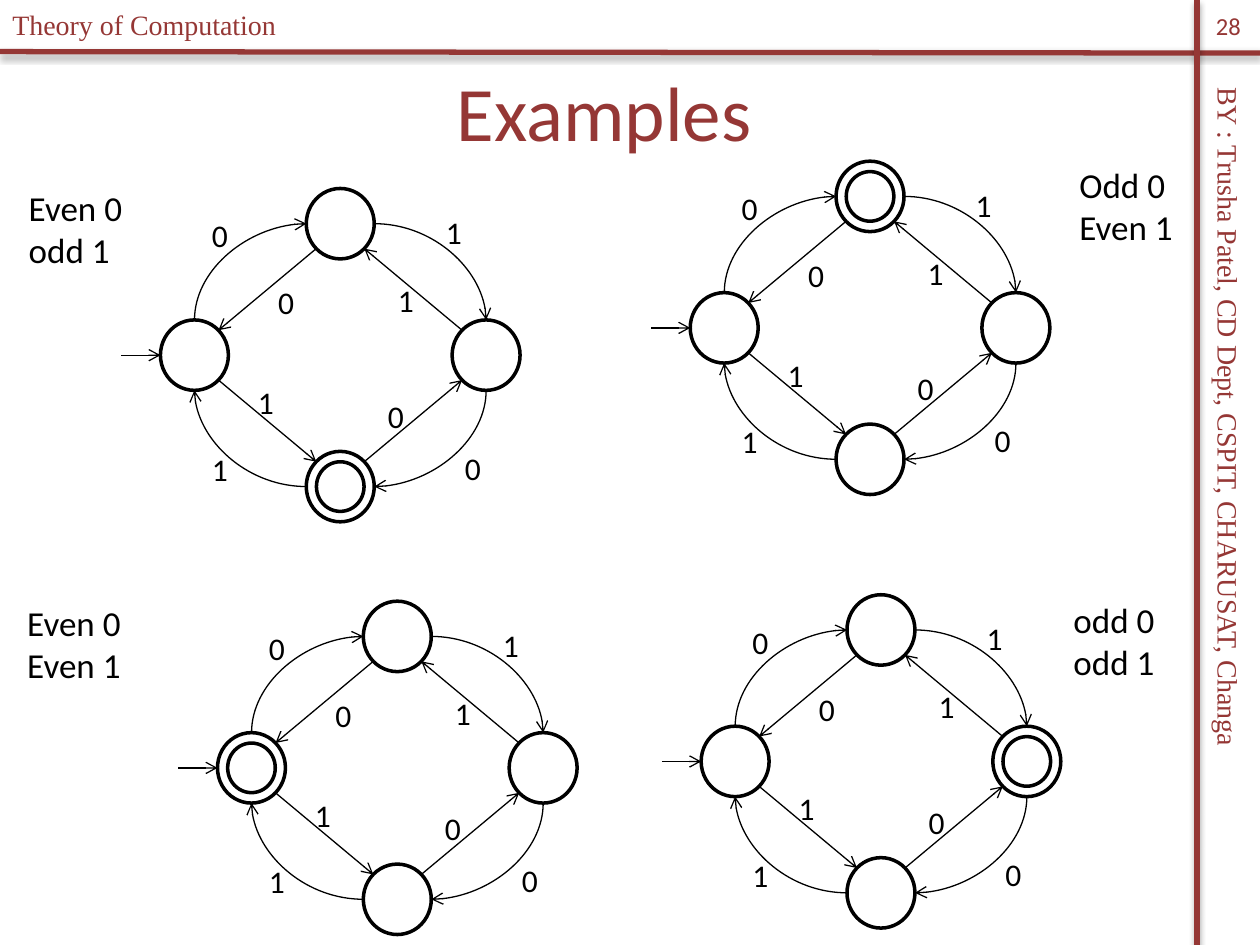
from lxml.etree import SubElement
from pptx import Presentation
from pptx.dml.color import RGBColor
from pptx.enum.shapes import MSO_CONNECTOR, MSO_SHAPE
from pptx.enum.text import MSO_ANCHOR, MSO_AUTO_SIZE, PP_ALIGN
from pptx.oxml.ns import qn
from pptx.util import Cm, Pt

COLORS = {"accent": "953735", "ink": "000000", "paper": "FFFFFF"}
NODE_SIZE = (1.37, 1.42)
INNER_SIZE = (0.96, 1.0)
SPREAD_X, SPREAD_Y = 2.94, 2.65
START_LENGTH = 0.79
DIAGONAL = 0.5 ** 0.5
SIDES = {"left": (-1, 0), "right": (1, 0), "top": (0, -1), "bottom": (0, 1)}
CURVES = [
    ("left", "top", True),
    ("top", "right", False),
    ("right", "bottom", True),
    ("bottom", "left", False),
]
STRAIGHTS = [("top", "left"), ("left", "bottom"), ("bottom", "right"), ("right", "top")]
LABELS = [
    ("0", -2.84, -2.92),
    ("1", -1.91, 0.44),
    ("0", -1.5, -1.57),
    ("0", 0.71, 0.71),
    ("0", 2.26, 1.76),
    ("1", -2.84, 1.78),
    ("1", 1.88, -2.99),
    ("1", 0.91, -1.62),
]
AUTOMATA = [
    ((6.86, 7.16), "bottom", "Even 0\nodd 1", (0.33, 3.63, 2.41, 1.96)),
    ((17.54, 6.61), "top", "Odd 0\nEven 1", (21.51, 3.18, 2.41, 1.96)),
    ((8.01, 15.48), "left", "Even 0\nEven 1", (0.3, 12.01, 2.41, 1.96)),
    ((17.76, 15.35), "right", "odd 0\nodd 1", (21.39, 11.94, 2.16, 1.96)),
]


class SlideBuilder:
    def __init__(self, slide, colors):
        self.slide = slide
        self.colors = colors
        self.shapes = slide.shapes

    def color(self, name):
        return RGBColor.from_string(self.colors[name])

    def start_group(self):
        self.shapes = self.slide.shapes.add_group_shape().shapes

    def end_group(self):
        self.shapes = self.slide.shapes

    def text(self, content, box, size, color="ink", font="Calibri",
             align=PP_ALIGN.LEFT, anchor=MSO_ANCHOR.TOP, wrap=False, rotation=0):
        shape = self.shapes.add_textbox(*[Cm(value) for value in box])
        shape.rotation = rotation
        frame = shape.text_frame
        frame.text = content
        frame.word_wrap = wrap
        frame.auto_size = MSO_AUTO_SIZE.NONE if wrap else MSO_AUTO_SIZE.SHAPE_TO_FIT_TEXT
        frame.vertical_anchor = anchor
        for paragraph in frame.paragraphs:
            paragraph.alignment = align
            for run in paragraph.runs:
                run.font.size = Pt(size)
                run.font.name = font
                run.font.color.rgb = self.color(color)

    def circle(self, center, size):
        left, top = (middle - length / 2 for middle, length in zip(center, size))
        shape = self.shapes.add_shape(
            MSO_SHAPE.OVAL, Cm(left), Cm(top), Cm(size[0]), Cm(size[1]))
        shape.shadow.inherit = False
        shape.fill.solid()
        shape.fill.fore_color.rgb = self.color("paper")
        shape.line.color.rgb = self.color("ink")
        shape.line.width = Pt(2)

    def line(self, begin, end, color="ink", width=0.75, kind=MSO_CONNECTOR.STRAIGHT):
        connector = self.shapes.add_connector(
            kind, *[Cm(value) for value in (*begin, *end)])
        connector.line.color.rgb = self.color(color)
        connector.line.width = Pt(width)
        SubElement(connector._element.spPr, qn("a:effectLst"))
        return connector

    def arrow(self, begin, end, kind=MSO_CONNECTOR.STRAIGHT):
        connector = self.line(begin, end, kind=kind)
        outline = connector._element.spPr.find(qn("a:ln"))
        SubElement(outline, qn("a:tailEnd"), type="arrow")
        return connector

    def curved_arrow(self, begin, end, vertical_first):
        if vertical_first:
            middle_x, middle_y = ((a + b) / 2 for a, b in zip(begin, end))
            begin, end = (
                (middle_x + y - middle_y, middle_y - x + middle_x)
                for x, y in (begin, end))
        connector = self.arrow(begin, end, MSO_CONNECTOR.CURVE)
        properties = connector._element.spPr
        properties.find(qn("a:prstGeom")).set("prst", "curvedConnector2")
        if vertical_first:
            properties.find(qn("a:xfrm")).set("rot", "5400000")

    def rule(self, begin, end):
        connector = self.line(begin, end, "accent", 3)
        effects = connector._element.spPr.find(qn("a:effectLst"))
        shadow = SubElement(effects, qn("a:outerShdw"), blurRad=str(Pt(3.1)),
                            dist=str(Pt(1.8)), dir="5400000", rotWithShape="0")
        tone = SubElement(shadow, qn("a:srgbClr"), val=self.colors["ink"])
        SubElement(tone, qn("a:alpha"), val="35000")

    def automaton(self, center, accepting, caption, caption_box):
        center_x, center_y = center
        radius_x, radius_y = (length / 2 for length in NODE_SIZE)
        nodes = {
            side: (center_x + x * SPREAD_X, center_y + y * SPREAD_Y)
            for side, (x, y) in SIDES.items()}

        def rim(side):
            x, y = SIDES[side]
            return nodes[side][0] + x * radius_x, nodes[side][1] + y * radius_y

        def curve_point(side, other):
            x, y = SIDES[other]
            return nodes[side][0] + x * radius_x, nodes[side][1] + y * radius_y

        def diagonal_point(side, other):
            x = 1 if nodes[other][0] > nodes[side][0] else -1
            y = 1 if nodes[other][1] > nodes[side][1] else -1
            return (nodes[side][0] + x * radius_x * DIAGONAL,
                    nodes[side][1] + y * radius_y * DIAGONAL)

        self.start_group()
        for node in nodes.values():
            self.circle(node, NODE_SIZE)
        for source, target, vertical_first in CURVES:
            self.curved_arrow(curve_point(source, target),
                              curve_point(target, source), vertical_first)
        for source, target in STRAIGHTS:
            self.arrow(diagonal_point(source, target), diagonal_point(target, source))
        entry_x, entry_y = rim("left")
        self.arrow((entry_x - START_LENGTH, entry_y), (entry_x, entry_y))
        for symbol, x, y in LABELS:
            self.text(symbol, (center_x + x, center_y + y, 0.79, 1), 18)
        self.circle(nodes[accepting], INNER_SIZE)
        self.text(caption, caption_box, 20)
        self.end_group()


def main():
    presentation = Presentation()
    presentation.slide_width, presentation.slide_height = Cm(25.4), Cm(19.05)
    slide = presentation.slides.add_slide(presentation.slide_layouts[6])
    builder = SlideBuilder(slide, COLORS)
    builder.rule((0, 1.04), (25.4, 1.07))
    builder.rule((24.13, 0), (24.13, 19.05))
    builder.text("BY : Trusha Patel, CD Dept, CSPIT, CHARUSAT, Changa",
                 (16.61, 9.19, 16.31, 0.94), 16, "accent", "Times New Roman", rotation=90)
    builder.text("Theory of Computation", (0, 0.03, 8.36, 0.94), 16,
                 "accent", "Times New Roman")
    centered = {"align": PP_ALIGN.CENTER, "anchor": MSO_ANCHOR.MIDDLE, "wrap": True}
    builder.text("28", (24.13, 0, 1.27, 1.02), 14, "accent", **centered)
    for automaton in AUTOMATA:
        builder.automaton(*automaton)
    builder.text("Examples", (0.43, 0.64, 23.5, 3.18), 44, "accent", **centered)
    presentation.save("out.pptx")


if __name__ == "__main__":
    main()
